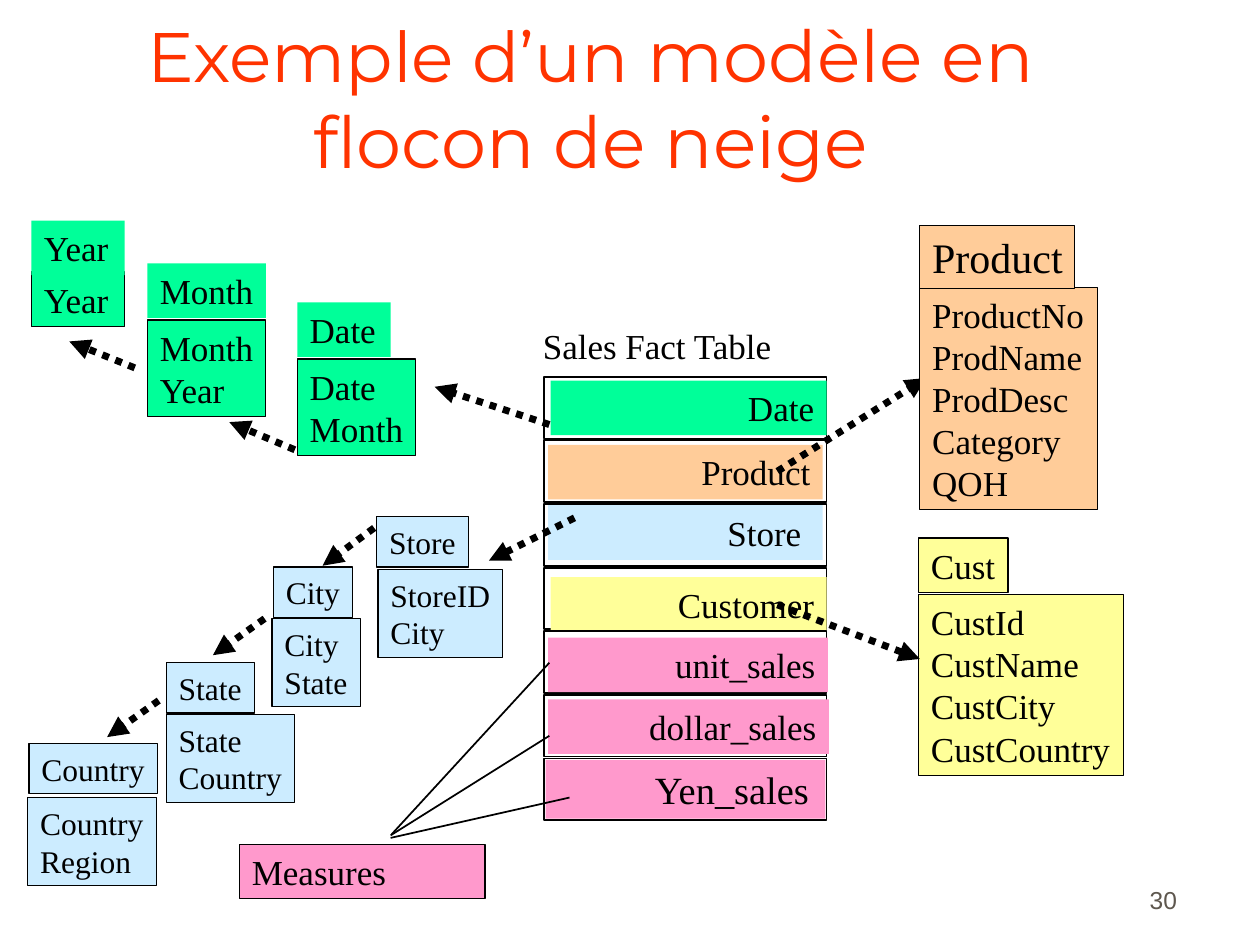
"""Build a slide showing a snowflake schema around a sales fact table."""
import pptx
import pptx.dml.color
import pptx.enum.dml
import pptx.enum.shapes
import pptx.enum.text
import pptx.oxml.ns
import pptx.util
from lxml import etree

RGBColor = pptx.dml.color.RGBColor
BLACK = RGBColor(0x00, 0x00, 0x00)
RED = RGBColor(0xFF, 0x33, 0x00)
GREY = RGBColor(0x5E, 0x57, 0x4E)
GREEN = RGBColor(0x00, 0xFF, 0x99)
ORANGE = RGBColor(0xFF, 0xCC, 0x99)
BLUE = RGBColor(0xCC, 0xEC, 0xFF)
YELLOW = RGBColor(0xFF, 0xFF, 0x99)
PINK = RGBColor(0xFF, 0x99, 0xCC)

Align = pptx.enum.text.PP_ALIGN
Anchor = pptx.enum.text.MSO_ANCHOR
RECTANGLE = pptx.enum.shapes.MSO_SHAPE.RECTANGLE
STRAIGHT = pptx.enum.shapes.MSO_CONNECTOR.STRAIGHT
SERIF = "Times New Roman"
COLUMNS, ROWS = 100, 75
FACT_LEFT, FACT_TOP, FACT_WIDTH, FACT_PITCH = 43.2, 29.9, 22.4, 5.05

FRONT_TABLES = [
    (GREEN, 20, ("Date", 23.6, 24, 7.4, 0), ("Date\nMonth", 23.6, 28.5, 9.4)),
    (YELLOW, 20, ("Cust", 72.9, 42.7, 7.1, 0.75),
     ("CustId\nCustName\nCustCity\nCustCountry", 72.9, 47.2, 16.3)),
]
OUTER_TABLES = [
    (GREEN, 20, ("Month", 11.7, 20.9, 9.4, 0), ("Month\nYear", 11.7, 25.4, 9.4)),
    (GREEN, 20, ("Year", 2.5, 17.5, 7.4, 0), ("Year", 2.5, 21.6, 7.4)),
    (BLUE, 18, ("City", 21.7, 45, 6.3, 0.75), ("City\nState", 21.6, 49.1, 7)),
    (BLUE, 18, ("Country", 2.3, 59, 10.2, 0.75), ("Country\nRegion", 2.2, 63.3, 10.2)),
    (BLUE, 18, ("State", 13.2, 52.6, 7, 0.75), ("State\nCountry", 13.2, 56.7, 10.2)),
    (BLUE, 18, ("Store", 29.9, 41, 7.3, 0.75), ("StoreID\nCity", 30, 45.2, 9.9)),
]
FACT_ROWS = [
    ("Date", GREEN, 20, 43.7, 30.2, 21.9, 1),
    ("Product", ORANGE, 20, 43.5, 35.3, 21.8, 1),
    ("Store", BLUE, 20, 43.5, 40.1, 21.8, 1.7),
    ("Customer", YELLOW, 20, 43.7, 45.8, 21.9, 1),
    ("unit_sales", PINK, 20, 43.5, 50.6, 22.2, 1),
    ("dollar_sales", PINK, 20, 43.5, 55.5, 22.3, 1),
    ("Yen_sales", PINK, 22, 43.3, 60.3, 22.2, 1.3),
]
MEASURE_LINES = [(31.1, 66.2, 43.6, 52.6), (31, 66.3, 43.6, 58.4), (31, 66.5, 45.2, 63.3)]
FACT_ARROWS = [(43.6, 33.7, 34.5, 30.7), (61.7, 48, 73, 52.3), (61.7, 37.4, 73.5, 30)]
LEVEL_ARROWS = [
    (45.6, 41.1, 38.8, 44.5), (29.7, 41.9, 25.6, 44.9), (21, 49.1, 16.9, 52),
    (12.6, 55.6, 8.5, 58.5), (23.4, 35.7, 18.2, 33.5), (10.7, 29.2, 5.5, 27.1),
]


def grid(*cells):
    """Turn grid cells, a tenth of an inch each, into lengths."""
    return [pptx.util.Inches(cell / 10) for cell in cells]


def apply(target, values):
    """Set each named attribute of the target."""
    for name, value in values.items():
        setattr(target, name, value)


def style_font(font, face, size, color):
    """Give a font its face, size and colour."""
    apply(font, {"name": face, "size": pptx.util.Pt(size)})
    font.color.rgb = color


def write(shape, text, size, color=BLACK, face=SERIF, align=Align.LEFT,
          anchor=Anchor.TOP, wrap=False, right_inset=1):
    """Write formatted lines of text in a shape."""
    frame = shape.text_frame
    left, top, right = grid(1, 0.5, right_inset)
    apply(frame, {"text": text, "word_wrap": wrap, "vertical_anchor": anchor,
                  "margin_left": left, "margin_top": top,
                  "margin_right": right, "margin_bottom": top})
    for para in frame.paragraphs:
        para.alignment = align
        style_font(para.font, face, size, color)


def add_box(page, left, top, width, height, fill=None, outline=0):
    """Draw a plain rectangle."""
    box = page.shapes.add_shape(RECTANGLE, *grid(left, top, width, height))
    box.shadow.inherit = False
    if fill is None:
        box.fill.background()
    else:
        box.fill.solid()
        box.fill.fore_color.rgb = fill
    if outline:
        box.line.color.rgb = BLACK
        box.line.width = pptx.util.Pt(outline)
    else:
        box.line.fill.background()
    return box


def add_label(page, text, left, top, width, fill, size, outline=0, **style):
    """Draw a rectangle as tall as its lines of text."""
    height = 1 + len(text.split("\n")) * size / 6
    box = add_box(page, left, top, width, height, fill, outline)
    write(box, text, size, **style)


def add_dimension(page, fill, size, header, body):
    """Draw a dimension table: a name above its fields."""
    add_label(page, *body, fill, size, 0.75)
    *place, outline = header
    add_label(page, *place, fill, size, outline)


def add_fact_table(page):
    """Draw the fact table with its caption."""
    caption = page.shapes.add_textbox(*grid(42.1, 25.3, 20.4, 4.3))
    write(caption, "Sales Fact Table", 20)
    for index, (text, fill, size, left, top, width, inset) in enumerate(FACT_ROWS):
        add_box(page, FACT_LEFT, FACT_TOP + index * FACT_PITCH, FACT_WIDTH, 4.9, outline=1)
        add_label(page, text, left, top, width, fill, size,
                  align=Align.RIGHT, wrap=True, right_inset=inset)


def add_line(page, ends, arrow=False):
    """Draw a thin line or a thick dotted arrow."""
    line = page.shapes.add_connector(STRAIGHT, *grid(*ends))
    line.line.color.rgb = BLACK
    line.line.width = pptx.util.Pt(4 if arrow else 1)
    qn = pptx.oxml.ns.qn
    properties = line._element.spPr
    if arrow:
        line.line.dash_style = pptx.enum.dml.MSO_LINE.ROUND_DOT
        properties.find(qn("a:ln")).find(qn("a:prstDash")).set("val", "sysDot")
        etree.SubElement(properties.find(qn("a:ln")), qn("a:tailEnd"), type="triangle")
    etree.SubElement(properties, qn("a:effectLst"))


def add_title(page):
    """Fill the title placeholder."""
    title = page.shapes.title
    left, top, width, height = grid(4.4, 2.5, 85, 12.5)
    apply(title, {"left": left, "top": top, "width": width, "height": height})
    apply(title.text_frame, {"vertical_anchor": Anchor.BOTTOM, "word_wrap": True,
                             "auto_size": pptx.enum.text.MSO_AUTO_SIZE.NONE})
    para = title.text_frame.paragraphs[0]
    para.alignment = Align.CENTER
    for text, size in (("Exemple d’un ", 40), ("modèle en flocon de neige", 41)):
        span = para.add_run()
        span.text = text
        style_font(span.font, "Montserrat", size, RED)


def main():
    """Build and save the deck."""
    deck = pptx.Presentation()
    deck.slide_width, deck.slide_height = grid(COLUMNS, ROWS)
    page = deck.slides.add_slide(deck.slide_layouts[5])
    number = page.shapes.add_textbox(*grid(73.6, 68.1, 20.8, 5))
    write(number, "30", 14, GREY, "Arial", Align.RIGHT, Anchor.BOTTOM, True)
    add_title(page)
    for table in FRONT_TABLES:
        add_dimension(page, *table)
    add_fact_table(page)
    add_label(page, "Measures", 19, 67, 19.5, PINK, 20, 0.75, wrap=True)
    for ends in MEASURE_LINES:
        add_line(page, ends)
    for ends in FACT_ARROWS:
        add_line(page, ends, arrow=True)
    add_label(page, "ProductNo\nProdName\nProdDesc\nCategory\nQOH",
              73, 22.8, 14.1, ORANGE, 20, 0.75)
    add_label(page, "Product", 73, 17.9, 12.3, ORANGE, 24, 0.75, anchor=Anchor.MIDDLE)
    for table in OUTER_TABLES:
        add_dimension(page, *table)
    for ends in LEVEL_ARROWS:
        add_line(page, ends, arrow=True)
    deck.save("out.pptx")


if __name__ == "__main__":
    main()
